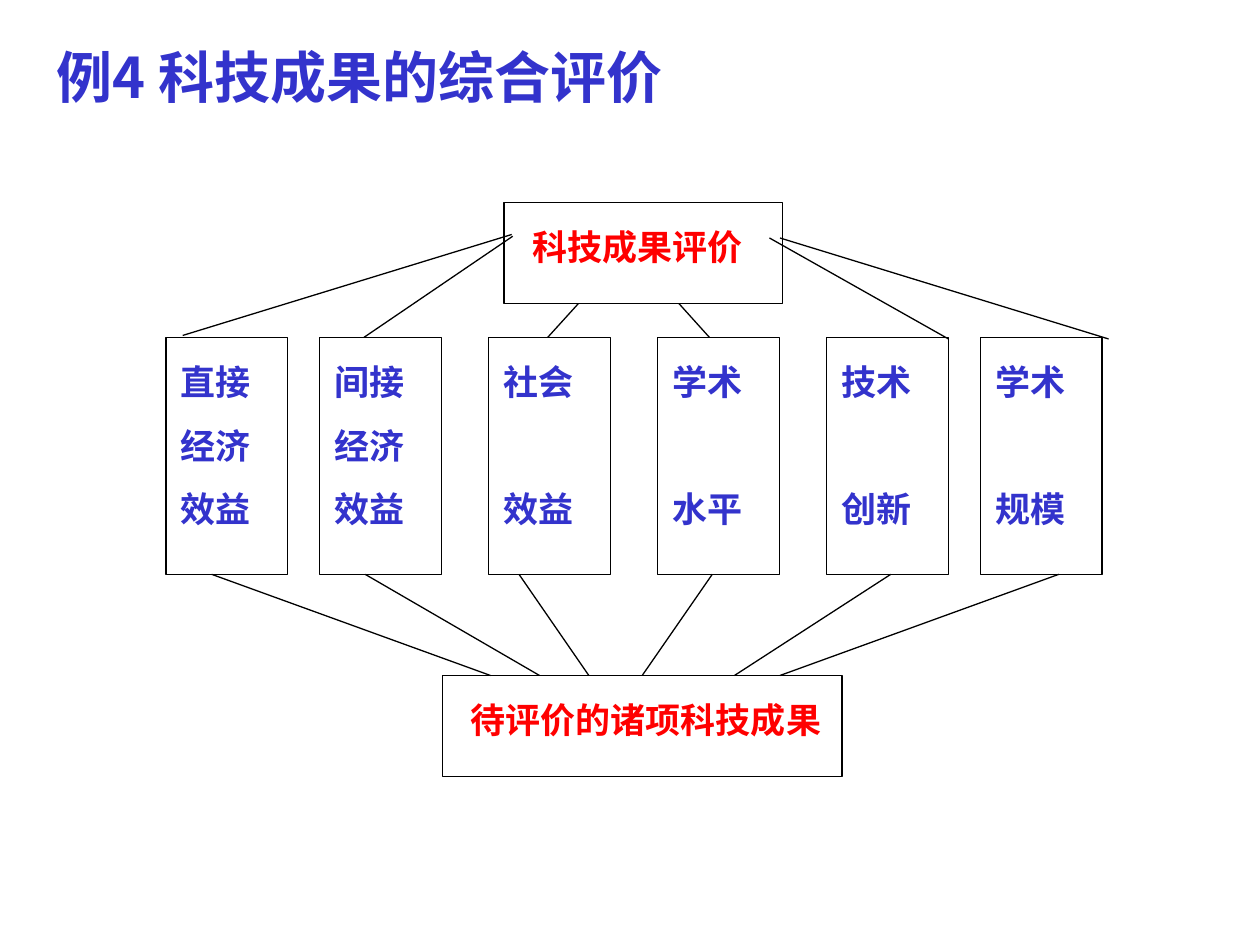
from lxml import etree
from pptx import Presentation
from pptx.dml.color import RGBColor
from pptx.enum import shapes, text
from pptx.oxml.ns import qn
from pptx.util import Pt

FONT = "Noto Sans CJK SC"
COLORS = {"ink": "000000", "paper": "FFFFFF", "blue": "3333CC", "red": "FF0000"}

CARD_TOP, CARD_WIDTH, CARD_HEIGHT = 192.8, 69.6, 135.4
CARD_BOTTOM = CARD_TOP + CARD_HEIGHT
GOAL_TOP, OBJECTS_TOP, BAR_HEIGHT = 115.8, 386, 57.7
ROW_PITCH = 36.4

# left edge, then label row -> words
CRITERIA = [
    (94.8, {0: "直接", 1: "经济", 2: "效益"}),
    (182.7, {0: "间接", 1: "经济", 2: "效益"}),
    (279.3, {0: "社会", 2: "效益"}),
    (375.9, {0: "学术", 2: "水平"}),
    (472.4, {0: "技术", 2: "创新"}),
    (560.2, {0: "学术", 2: "规模"}),
]
GOAL_LINKS = [
    (104.4, 191.7, 292.4, 134),
    (208, CARD_TOP, 293, 135),
    (313, CARD_TOP, 330.5, GOAL_TOP + BAR_HEIGHT),
    (405.4, CARD_TOP, 388, GOAL_TOP + BAR_HEIGHT),
    (542, 193.7, 439.7, 136),
    (633.5, 193.7, 445.7, 136),
]
# x on the criterion, x on the evaluated objects
OBJECT_LINKS = [(121, 280.3), (208.7, 308.3), (296.6, 336.5),
                (407, 367), (509, 419.7), (605, 445.7)]


def rgb(name):
    return RGBColor.from_string(COLORS[name])


def write(frame, words, size=20, color="blue", inset=(0, 0)):
    frame.word_wrap = True
    frame.auto_size = text.MSO_AUTO_SIZE.SHAPE_TO_FIT_TEXT
    frame.vertical_anchor = text.MSO_ANCHOR.TOP
    frame.margin_left = frame.margin_right = Pt(inset[0])
    frame.margin_top = frame.margin_bottom = Pt(inset[1])
    paragraph = frame.paragraphs[0]
    paragraph.alignment = text.PP_ALIGN.LEFT
    paragraph.line_spacing = 1.0
    run = paragraph.add_run()
    run.text = words
    run.font.size = Pt(size)
    run.font.bold = True
    run.font.color.rgb = rgb(color)
    run.font.name = FONT
    east_asian = etree.SubElement(run.font._element, qn("a:ea"))
    east_asian.set("typeface", FONT)


def add_title(slide, words):
    title = slide.shapes.title
    title.left, title.top = Pt(25.2), Pt(20.5)
    title.width, title.height = Pt(493), Pt(46)
    write(title.text_frame, words, size=32, inset=(7.2, 3.6))


def add_box(slide, left, top, width, height):
    box = slide.shapes.add_shape(shapes.MSO_SHAPE.RECTANGLE,
                                 Pt(left), Pt(top), Pt(width), Pt(height))
    box.shadow.inherit = False
    box.fill.solid()
    box.fill.fore_color.rgb = rgb("paper")
    box.line.color.rgb = rgb("ink")
    box.line.width = Pt(0.75)


def add_label(slide, left, top, words, color="blue"):
    """Add a one-line label, a little wider than its full-width characters."""
    label = slide.shapes.add_textbox(Pt(left), Pt(top),
                                     Pt(20 * len(words) + 3), Pt(24))
    write(label.text_frame, words, color=color)


def add_bar(slide, left, top, width, words):
    add_box(slide, left, top, width, BAR_HEIGHT)
    add_label(slide, left + 16.2, top + 13, words, color="red")


def add_criterion(slide, left, rows):
    add_box(slide, left, CARD_TOP, CARD_WIDTH, CARD_HEIGHT)
    for row, words in rows.items():
        add_label(slide, left + 8.4, CARD_TOP + 13.1 + row * ROW_PITCH, words)


def add_link(slide, x1, y1, x2, y2):
    link = slide.shapes.add_connector(shapes.MSO_CONNECTOR.STRAIGHT,
                                      Pt(x1), Pt(y1), Pt(x2), Pt(y2))
    link.line.color.rgb = rgb("ink")
    link.line.width = Pt(0.75)
    etree.SubElement(link._element.spPr, qn("a:effectLst"))


def main():
    deck = Presentation()
    deck.slide_width, deck.slide_height = Pt(720), Pt(540)
    slide = deck.slides.add_slide(deck.slide_layouts[5])

    add_title(slide, "例4 科技成果的综合评价")
    add_bar(slide, 288, GOAL_TOP, 159, "科技成果评价")
    for left, rows in CRITERIA:
        add_criterion(slide, left, rows)
    add_bar(slide, 252.7, OBJECTS_TOP, 228.5, "待评价的诸项科技成果")
    for ends in GOAL_LINKS:
        add_link(slide, *ends)
    for criterion_x, object_x in OBJECT_LINKS:
        add_link(slide, criterion_x, CARD_BOTTOM, object_x, OBJECTS_TOP)

    deck.save("out.pptx")


if __name__ == "__main__":
    main()
